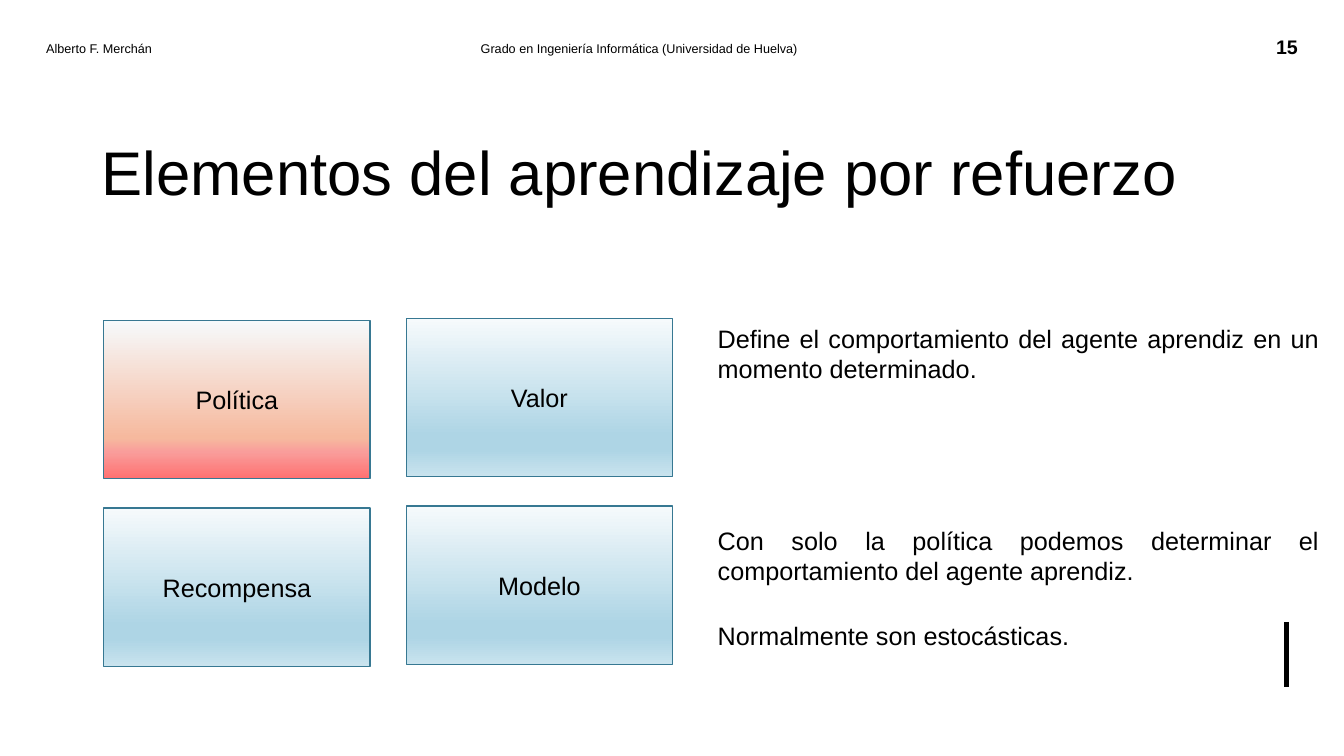
from dataclasses import dataclass

from lxml.etree import SubElement
from pptx import Presentation
from pptx.dml.color import RGBColor
from pptx.enum.shapes import MSO_CONNECTOR as Connector, MSO_SHAPE as Shape
from pptx.enum.text import MSO_ANCHOR as Anchor, PP_ALIGN as Align
from pptx.oxml.ns import qn
from pptx.shapes.autoshape import Shape as AutoShape
from pptx.slide import Slide
from pptx.util import Inches, Pt

Stops = tuple[tuple[int, str], ...]


@dataclass(frozen=True)
class Theme:
    font: str = "Arial"
    ink: str = "000000"
    paper: str = "FFFFFF"
    border: str = "377892"
    title: int = 44
    body: int = 18
    number: int = 14
    header: int = 9
    blue: Stops = ((0, "F6FAFC"), (74, "AED5E5"), (83, "AED5E5"), (100, "C9E3EE"))
    red: Stops = ((0, "F6FAFC"), (74, "F6B99E"), (83, "F99D9B"), (100, "FF7171"))


THEME = Theme()


@dataclass(frozen=True)
class Element:
    name: str
    column: int
    row: int
    stops: Stops = THEME.blue


@dataclass(frozen=True)
class Note:
    text: str
    top: float
    height: float


ELEMENTS = (
    Element("Política", 0, 0, THEME.red),
    Element("Recompensa", 0, 1),
    Element("Valor", 1, 0),
    Element("Modelo", 1, 1),
)
NOTES = (
    Note("Define el comportamiento del agente aprendiz en un momento determinado.", 3.16, 0.71),
    Note("Con solo la política podemos determinar el comportamiento del agente aprendiz.", 5.16, 0.71),
    Note("Normalmente son estocásticas.", 6.1, 0.4),
)
GRID_LEFT, GRID_TOP = 1.03, 3.18
COLUMN_STEP, ROW_STEP = 3.0, 1.86
RIGHT_COLUMN_RISE = 0.02
CARD_WIDTH, CARD_HEIGHT = 2.64, 1.57


def write(box: AutoShape, text: str, *, size: int, align: Align = Align.LEFT,
          anchor: Anchor = Anchor.MIDDLE, bold: bool = False,
          tab: float | None = None) -> None:
    """Fill a box with one paragraph; tab is a stop in inches from the text edge."""
    frame = box.text_frame
    frame.word_wrap = True
    frame.vertical_anchor = anchor
    para = frame.paragraphs[0]
    para.alignment = align
    if tab is not None:
        tabs = SubElement(para._p.get_or_add_pPr(), qn("a:tabLst"))
        SubElement(tabs, qn("a:tab"), pos=str(Inches(tab)), algn="l")
    span = para.add_run()
    span.text = text
    span.font.name = THEME.font
    span.font.size = Pt(size)
    span.font.bold = bold
    span.font.color.rgb = RGBColor.from_string(THEME.ink)


def add_text(page: Slide, text: str, left: float, top: float, width: float,
             height: float, **style) -> None:
    box = page.shapes.add_textbox(Inches(left), Inches(top), Inches(width), Inches(height))
    write(box, text, **style)


def fill_gradient(card: AutoShape, stops: Stops) -> None:
    """Run the colour stops from top to bottom."""
    card.fill.gradient()
    card.fill.gradient_angle = 270
    stop_list = card._element.spPr.find(".//" + qn("a:gsLst"))
    stop_list.clear()
    for percent, color in stops:
        stop = SubElement(stop_list, qn("a:gs"), pos=str(percent * 1000))
        SubElement(stop, qn("a:srgbClr"), val=color)


def add_card(page: Slide, element: Element) -> None:
    left = GRID_LEFT + element.column * COLUMN_STEP
    top = GRID_TOP + element.row * ROW_STEP - element.column * RIGHT_COLUMN_RISE
    card = page.shapes.add_shape(Shape.RECTANGLE, Inches(left), Inches(top),
                                 Inches(CARD_WIDTH), Inches(CARD_HEIGHT))
    card.shadow.inherit = False
    fill_gradient(card, element.stops)
    card.line.color.rgb = RGBColor.from_string(THEME.border)
    card.line.width = Pt(1)
    write(card, element.name, size=THEME.body, align=Align.CENTER)


def add_rule(page: Slide, x: float, top: float, bottom: float) -> None:
    rule = page.shapes.add_connector(Connector.STRAIGHT, Inches(x), Inches(top),
                                     Inches(x), Inches(bottom))
    rule.line.color.rgb = RGBColor.from_string(THEME.ink)
    rule.line.width = Pt(3)
    SubElement(rule._element.spPr, qn("a:effectLst"))


def main() -> None:
    deck = Presentation()
    deck.slide_width, deck.slide_height = Inches(13.33), Inches(7.5)
    page = deck.slides.add_slide(deck.slide_layouts[6])
    page.background.fill.solid()
    page.background.fill.fore_color.rgb = RGBColor.from_string(THEME.paper)

    add_rule(page, 12.76, 6.17, 6.82)
    add_text(page, "Elementos del aprendizaje por refuerzo", 0.67, 0.91, 11.35, 1.57,
             size=THEME.title, align=Align.CENTER)
    add_text(page, "15", 12.35, 0.26, 0.83, 0.4,
             size=THEME.number, align=Align.CENTER, bold=True)
    add_text(page, "Alberto F. Merchán\tGrado en Ingeniería Informática (Universidad de Huelva)",
             0.36, 0.28, 11.98, 0.4, size=THEME.header, tab=4.31)
    for element in ELEMENTS:
        add_card(page, element)
    for note in NOTES:
        add_text(page, note.text, 7.02, note.top, 6.16, note.height,
                 size=THEME.body, align=Align.JUSTIFY, anchor=Anchor.TOP)
    deck.save("out.pptx")


if __name__ == "__main__":
    main()
